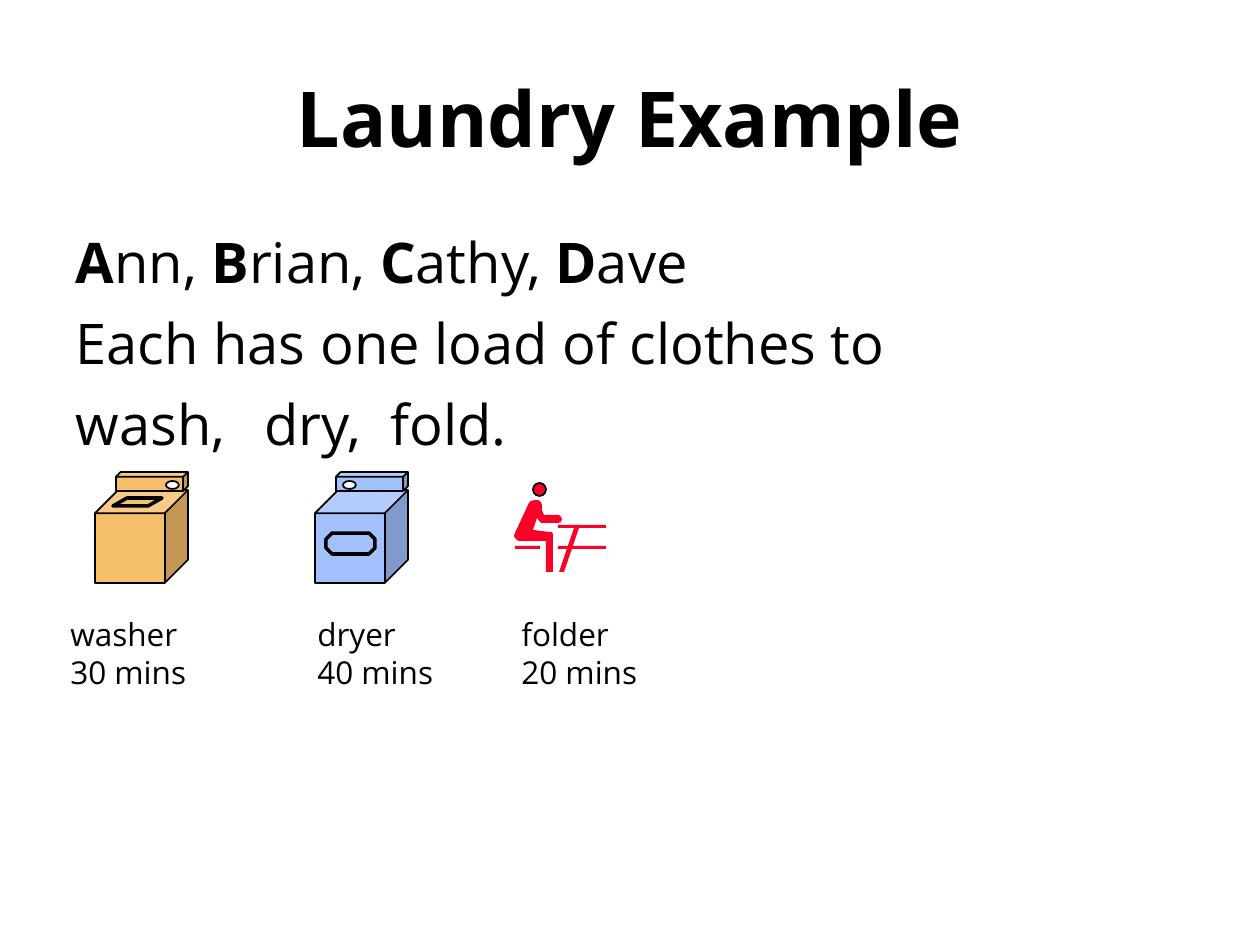
"""Build the laundry example slide with its three work stations."""
from lxml.etree import SubElement
from pptx import Presentation
from pptx.dml.color import RGBColor
from pptx.enum.shapes import MSO_SHAPE as Kind
from pptx.enum.text import MSO_ANCHOR, MSO_AUTO_SIZE as Auto, PP_ALIGN
from pptx.oxml.ns import qn
from pptx.util import Pt

BLACK = RGBColor(0, 0, 0)
WHITE = RGBColor(0xFF, 0xFF, 0xFF)
ORANGE = RGBColor(0xF6, 0xBF, 0x69)
BLUE = RGBColor(0xA2, 0xC1, 0xFE)
RED = RGBColor(0xFC, 0x01, 0x28)
FONT = "Open Sans"
SCALE = 914400 / 126

TITLE = "Laundry Example"
NAMES = ["Ann, ", "Brian, ", "Cathy, ", "Dave"]
BODY = [
    [part for name in NAMES for part in ((name[0], True), (name[1:], False))],
    [("Each has one load of clothes to", False)],
    [("wash,\tdry,\tfold.", False)],
]
TABS = [208, 362]
MACHINES = [
    dict(left=315, tint=BLUE, knob=28, door=(Kind.OCTAGON, 11, 533, 49, 21, 0.293)),
    dict(left=95, tint=ORANGE, knob=71, door=(Kind.PARALLELOGRAM, 18, 498, 49, 8, 1.751)),
]
BARS = [(558, 525, 48, 3), (558, 546, 48, 3), (515, 546, 25, 3)]
HEAD = (533, 483, 13, 13)
LEG = [(575, 525), (580, 525), (564, 572), (559, 572)]
TORSO = [
    (528, 505), (515, 533), (514, 536), (515, 538), (517, 540), (519, 541),
    (546, 541), (546, 572), (553, 572), (553, 534), (552, 532), (549, 532),
    (533, 530), (537, 518), (541, 523), (558, 523), (561, 522), (562, 519),
    (561, 517), (559, 515), (544, 515), (542, 510), (542, 505), (541, 502),
    (538, 500), (535, 500), (531, 501), (529, 503),
]
LABELS = [
    (58, 141, False, ["washer", "30 mins"]),
    (305, 152, True, ["dryer", "40 mins"]),
    (509, 141, False, ["folder", "20 mins"]),
]


def px(num):
    return round(num * SCALE)


def place(shape, box):
    for name, num in zip(("left", "top", "width", "height"), box):
        setattr(shape, name, px(num))


def write(para, text, size, bold=False):
    run = para.add_run()
    run.text = text
    for name, value in dict(name=FONT, size=Pt(size), bold=bold).items():
        setattr(run.font, name, value)
    run.font.color.rgb = BLACK


def paint(shape, tint, width=None):
    shape.shadow.inherit = False
    shape.fill.solid()
    shape.fill.fore_color.rgb = tint
    if width:
        shape.line.color.rgb = BLACK
        shape.line.width = Pt(width)
    else:
        shape.line.fill.background()


def draw(group, kind, box, tint, width=None, adj=None):
    shape = group.shapes.add_shape(kind, *map(px, box))
    if adj is not None:
        shape.adjustments[0] = adj
    paint(shape, tint, width)


def trace(group, points, tint):
    pen = group.shapes.build_freeform(*points[0], scale=SCALE)
    pen.add_line_segments(points[1:], close=True)
    paint(pen.convert_to_shape(), tint)


deck = Presentation()
deck.slide_width, deck.slide_height = px(1260), px(945)
slide = deck.slides.add_slide(deck.slide_layouts[1])
title, body = slide.placeholders

place(title, (63, 38, 1134, 158))
frame = title.text_frame
frame.auto_size = Auto.NONE
frame.vertical_anchor = MSO_ANCHOR.MIDDLE
frame.paragraphs[0].alignment = PP_ALIGN.CENTER
write(frame.paragraphs[0], TITLE, 44, True)

place(body, (63, 221, 1134, 624))
frame = body.text_frame
frame.auto_size = Auto.NONE
for i, line in enumerate(BODY):
    para = frame.add_paragraph() if i else frame.paragraphs[0]
    para.space_before = Pt(8)
    props = para._p.get_or_add_pPr()
    for name in ("marL", "indent"):
        props.set(name, "0")
    SubElement(props, qn("a:buNone"))
    stops = SubElement(props, qn("a:tabLst"))
    for stop in TABS:
        SubElement(stops, qn("a:tab"), pos=str(px(stop)), algn="l")
    for text, bold in line:
        write(para, text, 32, bold)

for item in MACHINES:
    left, tint = item["left"], item["tint"]
    group = slide.shapes.add_group_shape()
    draw(group, Kind.CUBE, (left, 490, 93, 93), tint, 1, 0.25)
    draw(group, Kind.CUBE, (left + 21, 472, 72, 19), tint, 1, 0.25)
    draw(group, Kind.OVAL, (left + item["knob"], 481, 13, 8), WHITE, 1)
    kind, shift, top, wide, high, adj = item["door"]
    draw(group, kind, (left + shift, top, wide, high), tint, 2, adj)

folder = slide.shapes.add_group_shape()
trace(folder, LEG, RED)
for bar in BARS:
    draw(folder, Kind.RECTANGLE, bar, RED)
draw(folder, Kind.OVAL, HEAD, RED, 1)
trace(folder, TORSO, RED)

for left, wide, wrap, lines in LABELS:
    frame = slide.shapes.add_textbox(*map(px, (left, 609, wide, 88))).text_frame
    frame.word_wrap = wrap
    frame.auto_size = Auto.SHAPE_TO_FIT_TEXT
    for i, text in enumerate(lines):
        write(frame.add_paragraph() if i else frame.paragraphs[0], text, 18)

deck.save("out.pptx")
